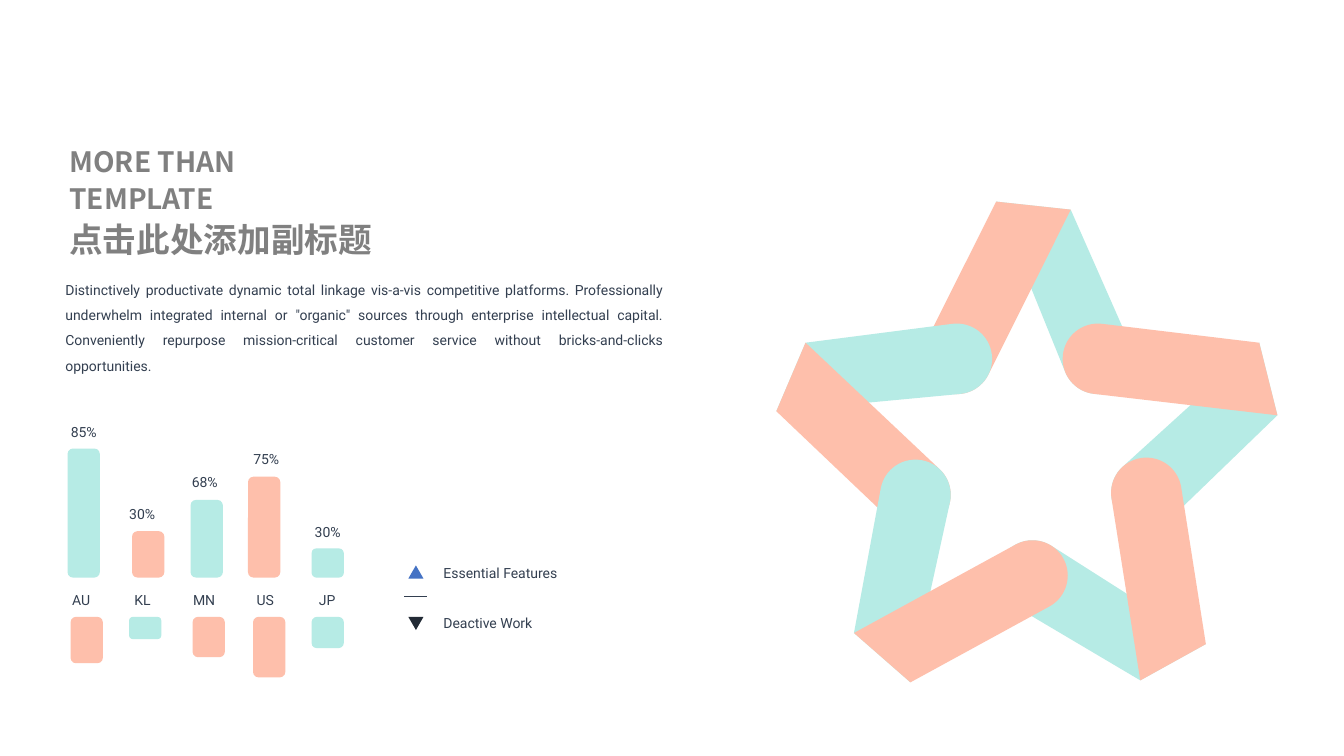
from math import acos, atan2, cos, dist, pi, sin

from lxml.etree import SubElement
from pptx import Presentation
from pptx.dml.color import RGBColor
from pptx.enum.shapes import MSO_CONNECTOR, MSO_SHAPE
from pptx.enum.text import MSO_ANCHOR, MSO_AUTO_SIZE, PP_ALIGN
from pptx.oxml.ns import qn
from pptx.util import Inches, Pt

TEAL, PEACH, INK = "B6EBE5", "FEBFAB", "333F50"
CAP_RADIUS = 0.35
CAP_STEPS = 32

TOP = ((9.88, 2), (10.62, 2.08))
RIGHT = ((12.49, 3.4), (12.67, 4.12))
BOTTOM_RIGHT = ((11.96, 6.39), (11.31, 6.75))
BOTTOM_LEFT = ((9.03, 6.77), (8.47, 6.28))
LEFT = ((7.7, 4.08), (7.99, 3.4))

UPPER_RIGHT = (10.89, 3.56)
UPPER_LEFT = (9.49, 3.56)
LOWER_RIGHT = (11.37, 4.89)
LOWER_LEFT = (9.08, 4.91)
BASE = (10.24, 5.71)

BANDS = [
    (TOP, UPPER_RIGHT, TEAL), (TOP, UPPER_LEFT, PEACH),
    (RIGHT, LOWER_RIGHT, TEAL), (RIGHT, UPPER_RIGHT, PEACH),
    (LEFT, UPPER_LEFT, TEAL), (LEFT, LOWER_LEFT, PEACH),
    (BOTTOM_LEFT, LOWER_LEFT, TEAL), (BOTTOM_RIGHT, BASE, TEAL),
    (BOTTOM_LEFT, BASE, PEACH), (BOTTOM_RIGHT, LOWER_RIGHT, PEACH),
]

BAR_WIDTH, BAR_BASE, DROP_TOP = 0.32, 5.73, 6.12
UPPER_BARS = [
    (0.67, 1.28, TEAL), (1.31, 0.46, PEACH), (1.89, 0.77, TEAL),
    (2.46, 1.0, PEACH), (3.09, 0.29, TEAL),
]
LOWER_BARS = [
    (0.7, 0.46, PEACH), (1.28, 0.22, TEAL), (1.91, 0.4, PEACH),
    (2.51, 0.6, PEACH), (3.09, 0.31, TEAL),
]
COUNTRIES = [
    ("AU", 0.61, 0.39), ("KL", 1.23, 0.37), ("MN", 1.81, 0.43),
    ("US", 2.44, 0.38), ("JP", 3.06, 0.37),
]
PERCENTS = [
    ("85%", 0.59, 4.15), ("30%", 1.17, 4.97), ("68%", 1.79, 4.65),
    ("75%", 2.4, 4.42), ("30%", 3.01, 5.14),
]
LEGEND = [
    ("Essential Features", 1.38, 5.55, 5.61, "4472C4", 0),
    ("Deactive Work", 1.14, 6.05, 6.12, "222A35", 180),
]
BODY = (
    "Distinctively productivate dynamic total linkage vis-a-vis competitive platforms. "
    'Professionally underwhelm integrated internal or "organic" sources through enterprise '
    "intellectual capital. Conveniently repurpose mission-critical customer service without "
    "bricks-and-clicks opportunities."
)


def color(value):
    return RGBColor.from_string(value)


def write(para, text, font="Roboto", size=10, ink=INK, bold=False,
          align=PP_ALIGN.LEFT, spacing=1.0):
    para.alignment = align
    para.line_spacing = spacing
    span = para.add_run()
    span.text = text
    span.font.name = font
    span.font.size = Pt(size)
    span.font.bold = bold
    span.font.color.rgb = color(ink)
    SubElement(span.font._element, qn("a:ea")).set("typeface", font)


def band_outline(tip, joint):
    first, second = tip

    def tangent(corner, side):
        heading = atan2(corner[1] - joint[1], corner[0] - joint[0])
        return heading + side * acos(CAP_RADIUS / dist(corner, joint))

    start = tangent(second, 1)
    sweep = (tangent(first, -1) - start) % (2 * pi)
    angles = [start + sweep * step / CAP_STEPS for step in range(CAP_STEPS + 1)]
    cap = [(joint[0] + CAP_RADIUS * cos(a), joint[1] + CAP_RADIUS * sin(a)) for a in angles]
    return [first, second, *cap]


class Canvas:
    """Draws styled elements on one slide."""

    def __init__(self, page):
        self.shapes = page.shapes

    def paint(self, shape, fill):
        shape.shadow.inherit = False
        shape.fill.solid()
        shape.fill.fore_color.rgb = color(fill)
        shape.line.fill.background()
        return shape

    def shape(self, kind, left, top, width, height, fill):
        frame = map(Inches, (left, top, width, height))
        return self.paint(self.shapes.add_shape(kind, *frame), fill)

    def polygon(self, points, fill):
        corners = [(Inches(x), Inches(y)) for x, y in points]
        builder = self.shapes.build_freeform(*corners[0], scale=1.0)
        builder.add_line_segments(corners[1:], close=True)
        self.paint(builder.convert_to_shape(), fill)

    def text(self, left, top, width, height, *lines, wrap=False,
             anchor=MSO_ANCHOR.TOP, **style):
        box = self.shapes.add_textbox(*map(Inches, (left, top, width, height)))
        frame = box.text_frame
        frame.word_wrap = wrap
        frame.auto_size = MSO_AUTO_SIZE.SHAPE_TO_FIT_TEXT
        frame.vertical_anchor = anchor
        for index, (line, extra) in enumerate(lines):
            para = frame.add_paragraph() if index else frame.paragraphs[0]
            write(para, line, **{**style, **extra})

    def line(self, x1, y1, x2, y2, ink, weight):
        ends = map(Inches, (x1, y1, x2, y2))
        rule = self.shapes.add_connector(MSO_CONNECTOR.STRAIGHT, *ends)
        rule.line.color.rgb = color(ink)
        rule.line.width = Pt(weight)
        SubElement(rule._element.spPr, qn("a:effectLst"))


def main():
    deck = Presentation()
    deck.slide_width, deck.slide_height = Inches(13.33), Inches(7.5)
    canvas = Canvas(deck.slides.add_slide(deck.slide_layouts[6]))

    for tip, joint, fill in BANDS:
        canvas.polygon(band_outline(tip, joint), fill)

    canvas.text(0.55, 2.66, 6.12, 1.11, (BODY, {}), wrap=True,
                align=PP_ALIGN.JUSTIFY, spacing=1.5)

    bar = MSO_SHAPE.ROUNDED_RECTANGLE
    for left, height, fill in UPPER_BARS:
        canvas.shape(bar, left, BAR_BASE - height, BAR_WIDTH, height, fill)
    for left, height, fill in LOWER_BARS:
        canvas.shape(bar, left, DROP_TOP, BAR_WIDTH, height, fill)
    for name, left, width in COUNTRIES:
        canvas.text(left, 5.82, width, 0.27, (name, {}), align=PP_ALIGN.CENTER)
    for percent, left, top in PERCENTS:
        canvas.text(left, top, 0.48, 0.27, (percent, {}), align=PP_ALIGN.CENTER)

    for label, width, top, marker_top, fill, turn in LEGEND:
        marker = canvas.shape(MSO_SHAPE.ISOSCELES_TRIANGLE, 4.05, marker_top, 0.15, 0.13, fill)
        marker.rotation = turn
        canvas.text(4.3, top, width, 0.27, (label, {}))
    canvas.line(4.01, 5.91, 4.24, 5.91, INK, 0.25)

    canvas.text(0.59, 1.53, 3.3, 0.92,
                ("MORE THAN TEMPLATE", {"size": 20}), ("点击此处添加副标题", {"size": 24}),
                wrap=True, anchor=MSO_ANCHOR.MIDDLE, font="Noto Sans CJK SC",
                ink="808080", bold=True, spacing=1.1)
    deck.save("out.pptx")


if __name__ == "__main__":
    main()
